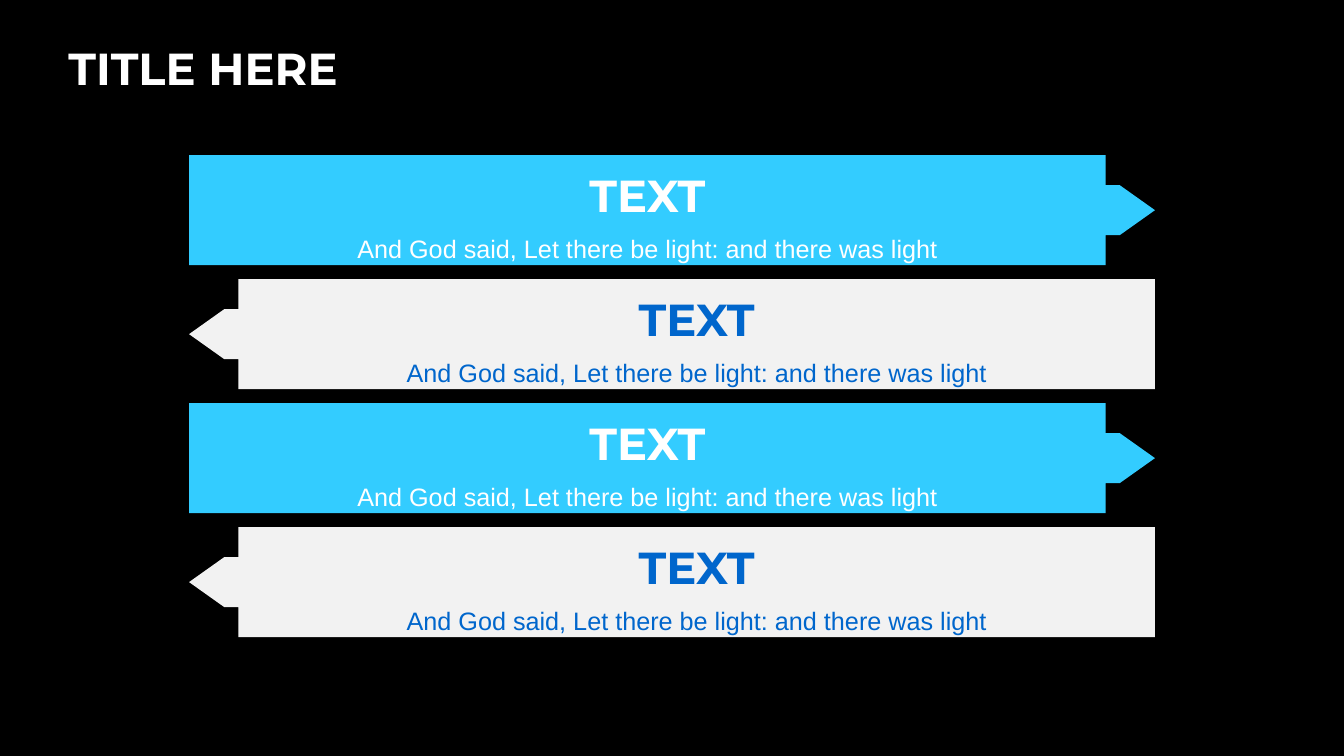
from pptx import Presentation
from pptx.dml.color import RGBColor
from pptx.enum.shapes import MSO_SHAPE
from pptx.enum.text import MSO_ANCHOR, PP_ALIGN
from pptx.util import Inches, Pt

RIGHT_CALLOUT = MSO_SHAPE.RIGHT_ARROW_CALLOUT
LEFT_CALLOUT = MSO_SHAPE.LEFT_ARROW_CALLOUT
MIDDLE = MSO_ANCHOR.MIDDLE
LEFT, CENTER = PP_ALIGN.LEFT, PP_ALIGN.CENTER

SLIDE_W, SLIDE_H = 13.33, 7.5
CALLOUT_PROPORTIONS = (0.5, 0.228, 0.321, 0.949)
VERSE = "And God said, Let there be light: and there was light"
STYLES = (
    (RIGHT_CALLOUT, "33CCFF", "FFFFFF"),
    (LEFT_CALLOUT, "F2F2F2", "0066CC"),
)


def paint(fill, color):
    """Give a fill one solid hex colour."""
    fill.solid()
    fill.fore_color.rgb = RGBColor.from_string(color)


def write(paragraph, text, *, size, font, color, bold=False, align=LEFT,
          line=None, before=None, after=None):
    """Put formatted text into a paragraph."""
    paragraph.alignment = align
    paragraph.line_spacing = line
    if before is not None:
        paragraph.space_before = Pt(before)
    if after is not None:
        paragraph.space_after = Pt(after)
    run = paragraph.add_run()
    run.text = text
    run.font.size = Pt(size)
    run.font.name = font
    run.font.bold = bold
    paint(run.font.fill, color)


def add_title(slide, text, left, top, width, height):
    """Place the slide title in its box."""
    title = slide.shapes.add_textbox(*map(Inches, (left, top, width, height)))
    frame = title.text_frame
    frame.word_wrap = True
    frame.vertical_anchor = MIDDLE
    write(frame.paragraphs[0], text, size=32, font="Montserrat",
          color="FFFFFF", bold=True)


def add_banner(slide, style, left, top, width, height):
    """Place one arrow callout with its heading and verse."""
    callout, background, ink = style
    banner = slide.shapes.add_shape(
        callout, *map(Inches, (left, top, width, height)))
    for index, proportion in enumerate(CALLOUT_PROPORTIONS):
        banner.adjustments[index] = proportion
    banner.shadow.inherit = False
    paint(banner.fill, background)
    banner.line.fill.background()
    frame = banner.text_frame
    frame.word_wrap = True
    frame.vertical_anchor = MIDDLE
    spacing = dict(color=ink, align=CENTER, line=1.2, after=2)
    write(frame.paragraphs[0], "TEXT", size=32, font="Montserrat",
          bold=True, **spacing)
    write(frame.add_paragraph(), VERSE, size=18, font="Arial",
          before=2, **spacing)


def add_banner_stack(slide, left, top, width, height, count=4, gap=0.14):
    """Stack banners evenly, alternating their direction and colours."""
    banner_height = (height - gap * (count - 1)) / count
    for row in range(count):
        add_banner(slide, STYLES[row % len(STYLES)], left,
                   top + row * (banner_height + gap), width, banner_height)


def main():
    """Build and save the slide."""
    deck = Presentation()
    deck.slide_width, deck.slide_height = Inches(SLIDE_W), Inches(SLIDE_H)
    slide = deck.slides.add_slide(deck.slide_layouts[6])
    paint(slide.background.fill, "000000")
    add_title(slide, "TITLE HERE", 0.58, 0.28, 12.18, 0.79)
    stack_width = 9.58
    add_banner_stack(slide, (SLIDE_W - stack_width) / 2, 1.54,
                     stack_width, 4.78)
    deck.save("out.pptx")


if __name__ == "__main__":
    main()
